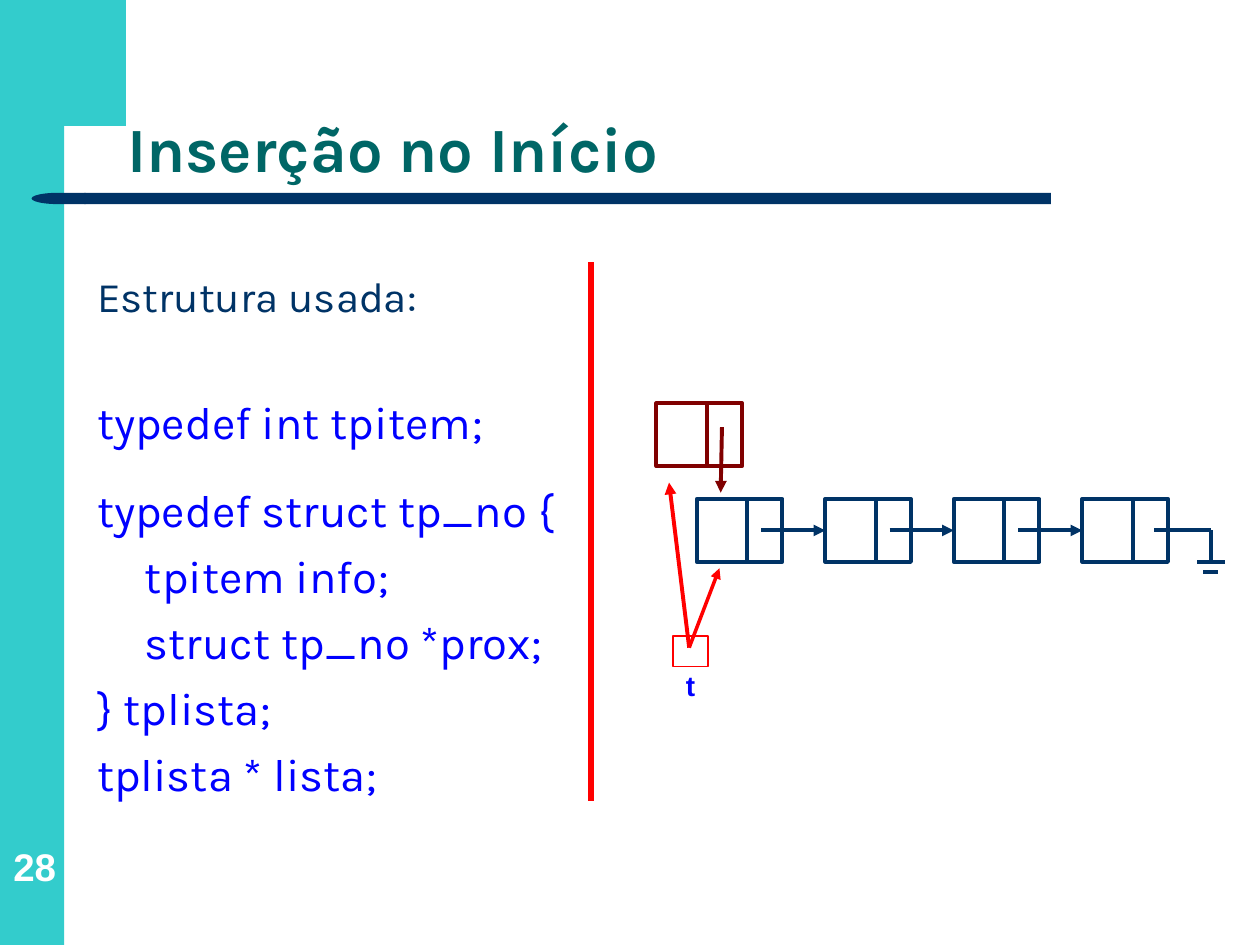
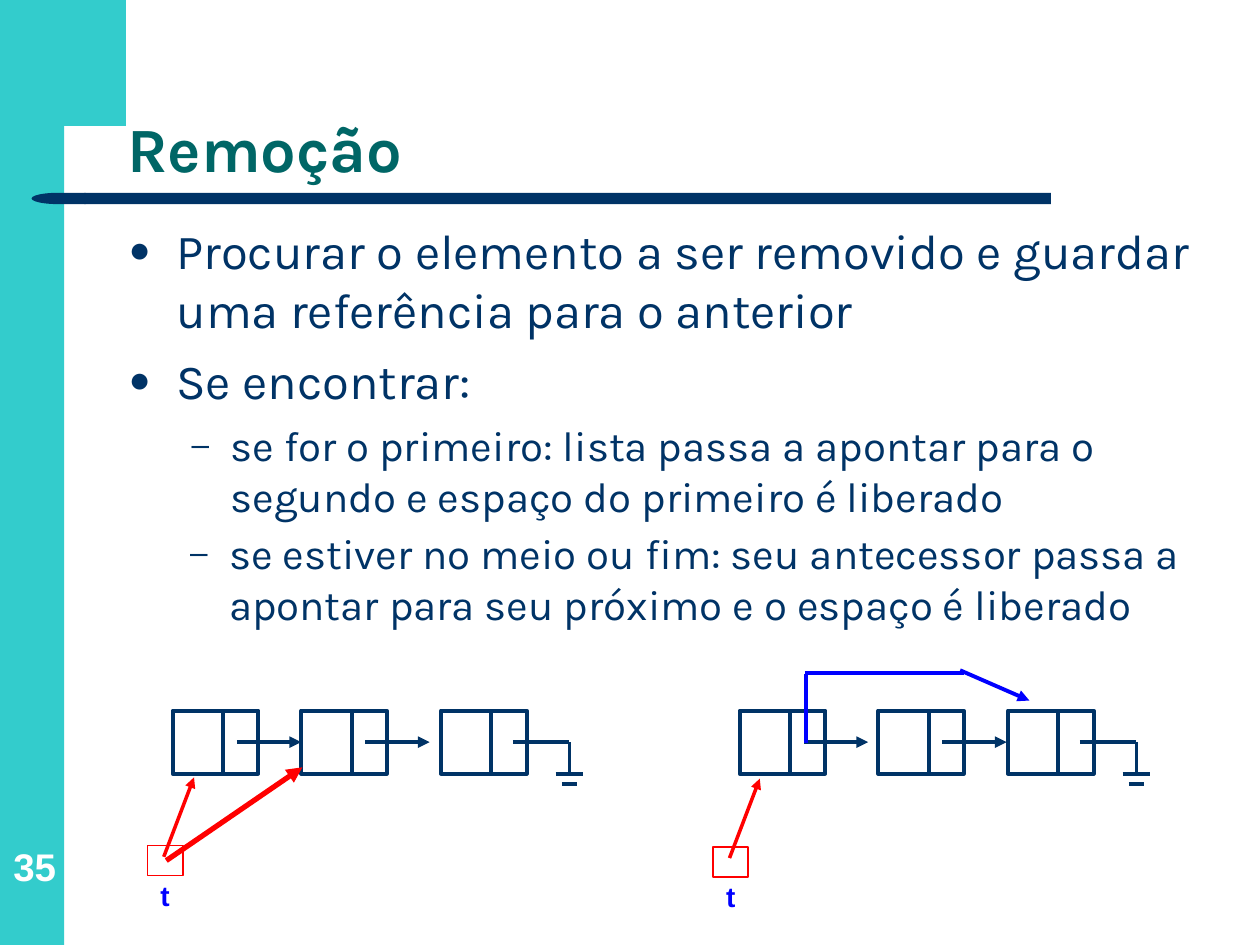
"""Build two slides on inserting into and removing from linked lists."""
from lxml import etree
from pptx import Presentation
from pptx import util as u
from pptx.dml.color import RGBColor
from pptx.enum import shapes, text
from pptx.oxml import ns

COLORS = {
    "band": "33CCCC", "navy": "003366", "title": "006666", "blue": "0000FF",
    "red": "FF0000", "maroon": "800000", "white": "FFFFFF",
}
KARLA, ARIAL = "Karla", "Arial"
BAND_OUTLINE = [
    (3.83, 0), (3.83, 0.44), (0.91, 0.45), (0.76, 0.45), (0.68, 0.46),
    (0.62, 0.49), (0.58, 0.52), (0.54, 0.55), (0.52, 0.58), (0.51, 0.62),
    (0.51, 0.68), (0.09, 0.68), (0.09, 0),
]
CELL_W, LINK_W, NODE_H = 0.4, 0.28, 0.5
NODE_PITCH = 1.02


def color(name):
    """Return the named palette colour."""
    return RGBColor.from_string(COLORS[name])


def box(at):
    """Convert left, top, width and height to lengths."""
    return [u.Inches(value) for value in at]


def paint(shape, fill):
    """Give a shape a plain fill without line or shadow."""
    shape.shadow.inherit = False
    shape.fill.solid()
    shape.fill.fore_color.rgb = color(fill)
    shape.line.fill.background()
    return shape


def outline_rect(slide, at, line, width=2.25):
    """Add an unfilled rectangle."""
    rect = slide.shapes.add_shape(shapes.MSO_SHAPE.RECTANGLE, *box(at))
    rect.shadow.inherit = False
    rect.fill.background()
    rect.line.color.rgb = color(line)
    rect.line.width = u.Pt(width)


def line(slide, start, end, stroke, width=2.25, arrow=False):
    """Add a straight line, optionally with an arrowhead at its end."""
    connector = slide.shapes.add_connector(
        shapes.MSO_CONNECTOR.STRAIGHT, *box(start + end))
    connector.line.color.rgb = color(stroke)
    connector.line.width = u.Pt(width)
    properties = connector.element.spPr
    if arrow:
        outline = properties.find(ns.qn("a:ln"))
        etree.SubElement(outline, ns.qn("a:tailEnd"), type="triangle")
    etree.SubElement(properties, ns.qn("a:effectLst"))


def add_run(paragraph, wording, size, ink, font=KARLA, bold=False):
    """Add one formatted run."""
    run = paragraph.add_run()
    run.text = wording
    run.font.size = u.Pt(size)
    run.font.name = font
    run.font.bold = bold
    run.font.color.rgb = color(ink)


def set_indent(paragraph, margin, hanging=0, bullet=None):
    """Set the indent and bullet of a paragraph."""
    properties = paragraph._p.get_or_add_pPr()
    properties.set("marL", str(u.Inches(margin)))
    properties.set("indent", str(-u.Inches(hanging)))
    if bullet is None:
        etree.SubElement(properties, ns.qn("a:buNone"))
        return
    tint = etree.SubElement(properties, ns.qn("a:buClr"))
    etree.SubElement(tint, ns.qn("a:srgbClr"), val=COLORS["navy"])
    etree.SubElement(properties, ns.qn("a:buSzPct"), val="75000")
    etree.SubElement(properties, ns.qn("a:buFont"), typeface=ARIAL)
    etree.SubElement(properties, ns.qn("a:buChar"), char=bullet)


def next_paragraph(frame):
    """Return the empty first paragraph or a new one."""
    first = frame.paragraphs[0]
    return frame.add_paragraph() if first.runs else first


def code_line(frame, wording, before=6.5, margin=0, size=26, ink="blue"):
    """Add an unbulleted line of the structure listing."""
    paragraph = next_paragraph(frame)
    paragraph.space_before = u.Pt(before)
    set_indent(paragraph, margin)
    add_run(paragraph, wording, size, ink)


def bullet_item(frame, wording, level=0):
    """Add a bulleted paragraph at the given level."""
    margin, hanging, mark, size, before = [
        (0.38, 0.38, "●", 28, 7), (0.81, 0.31, "–", 24, 6)][level]
    paragraph = next_paragraph(frame)
    paragraph.level = level
    paragraph.space_before = u.Pt(before)
    set_indent(paragraph, margin, hanging, mark)
    add_run(paragraph, wording, size, "navy")


def text_box(slide, at, wrap=True):
    """Add a text box and return its frame."""
    frame = slide.shapes.add_textbox(*box(at)).text_frame
    frame.word_wrap = wrap
    return frame


def decorate_layout(layout, slide):
    """Draw the band and title rule and move them to the layout."""
    for footer in list(layout.placeholders)[2:]:
        footer.element.getparent().remove(footer.element)
    kinds = shapes.MSO_SHAPE
    add = slide.shapes.add_shape
    outline = slide.shapes.build_freeform(*BAND_OUTLINE[0], scale=u.Inches(1))
    outline.add_line_segments(BAND_OUTLINE[1:], close=True)
    side_band = paint(add(kinds.RECTANGLE, *box((0, 0.02, 0.51, 7.48))), "band")
    corner = paint(outline.convert_to_shape(), "band")
    rule = paint(add(kinds.RECTANGLE, *box((0.67, 1.53, 7.67, 0.09))), "navy")
    rule_tip = paint(
        add(kinds.FLOWCHART_DELAY, *box((0.25, 1.53, 0.43, 0.09))), "navy")
    rule_tip.rotation = 180
    for part in (side_band, corner, rule, rule_tip):
        layout.shapes.element.append(part.element)


def fill_frame(slide, heading, number, body_at):
    """Set title and slide number, and return the placed body frame."""
    title = slide.shapes.title
    title.left, title.top, title.width, title.height = box(
        (0.91, 0.44, 8.51, 1.09))
    title.text_frame.vertical_anchor = text.MSO_ANCHOR.BOTTOM
    title.text_frame.auto_size = text.MSO_AUTO_SIZE.NONE
    paragraph = title.text_frame.paragraphs[0]
    paragraph.alignment = text.PP_ALIGN.LEFT
    paragraph.line_spacing = 0.9
    add_run(paragraph, heading, 36, "title", bold=True)

    page = text_box(slide, (0.03, 6.52, 0.49, 0.54))
    page.margin_left = page.margin_right = 0
    page.margin_top = page.margin_bottom = 0
    page.vertical_anchor = text.MSO_ANCHOR.BOTTOM
    page.paragraphs[0].alignment = text.PP_ALIGN.CENTER
    add_run(page.paragraphs[0], number, 22, "white", ARIAL, True)

    body = slide.placeholders[1]
    body.left, body.top, body.width, body.height = box(body_at)
    body.text_frame.auto_size = text.MSO_AUTO_SIZE.NONE
    return body.text_frame


def node(slide, x, y, ink="navy"):
    """Draw a list node with its value and link cells."""
    outline_rect(slide, (x, y, CELL_W, NODE_H), ink)
    outline_rect(slide, (x + CELL_W, y, LINK_W, NODE_H), ink)


def linked_list(slide, lefts, y):
    """Draw linked nodes, the last one ending in a ground symbol."""
    middle, bottom = y + NODE_H / 2, y + NODE_H
    for x in lefts:
        node(slide, x, y)
    for x in lefts[:-1]:
        line(slide, (x + 0.51, middle), (x + NODE_PITCH, middle), "navy",
             arrow=True)
    last = lefts[-1]
    ground = last + NODE_PITCH
    line(slide, (last + 0.57, middle), (ground, middle), "navy")
    line(slide, (ground, middle), (ground, bottom), "navy")
    for half, y_bar in ((0.11, bottom), (0.06, bottom + 0.08)):
        line(slide, (ground - half, y_bar), (ground + half, y_bar), "navy")


def list_pointer(slide, x, y):
    """Draw the variable t pointing to the first node."""
    outline_rect(slide, (x, y, 0.28, 0.24), "red", 1)
    line(slide, (x + 0.13, y + 0.09), (x + 0.37, y - 0.54), "red", 2, True)
    label = text_box(slide, (x, y + 0.21, 0.28, 0.37), wrap=False)
    label.paragraphs[0].alignment = text.PP_ALIGN.CENTER
    add_run(label.paragraphs[0], "t", 16, "blue", ARIAL, True)


def insertion_slide(slide):
    """Fill the slide on inserting at the start."""
    listing = fill_frame(slide, "Inserção no Início", "28",
                         (0.67, 2.1, 3.94, 4.65))
    code_line(listing, "Estrutura usada:", before=6, size=24, ink="navy")
    code_line(listing, "typedef int tpitem;", before=41.3)
    code_line(listing, "typedef struct tp_no {", before=19.5)
    for member in ("tpitem info;", "struct tp_no *prox;"):
        code_line(listing, member, margin=0.38)
    for wording in ("} tplista;", "tplista * lista;"):
        code_line(listing, wording)

    line(slide, (4.69, 2.08), (4.69, 6.36), "red", 3)
    linked_list(slide, [5.53 + NODE_PITCH * i for i in range(4)], 3.96)
    list_pointer(slide, 5.34, 5.05)
    node(slide, 5.21, 3.2, "maroon")
    line(slide, (5.47, 5.14), (5.31, 3.83), "red", arrow=True)
    line(slide, (5.73, 3.39), (5.72, 3.91), "maroon", arrow=True)


def removal_slide(slide):
    """Fill the slide on removing an element."""
    steps = fill_frame(slide, "Remoção", "35", (0.92, 1.7, 8.65, 2.52))
    bullet_item(steps, "Procurar o elemento a ser removido e guardar uma "
                       "referência para o anterior")
    bullet_item(steps, "Se encontrar:")
    bullet_item(steps, "se for o primeiro: lista passa a apontar para o "
                       "segundo e espaço do primeiro é liberado", 1)
    middle_case = text_box(slide, (0.91, 4.14, 8.65, 1.65))
    bullet_item(middle_case, "se estiver no meio ou fim: seu antecessor passa "
                             "a apontar para seu próximo e o espaço é liberado",
                1)

    linked_list(slide, [1.37, 2.39, 3.5], 5.64)
    line(slide, (1.32, 6.83), (2.4, 6.09), "red", 3, True)
    list_pointer(slide, 1.17, 6.71)

    linked_list(slide, [5.87, 6.97, 8], 5.64)
    list_pointer(slide, 5.66, 6.72)
    line(slide, (6.4, 5.9), (6.4, 5.35), "blue")
    line(slide, (6.39, 5.34), (7.65, 5.34), "blue")
    line(slide, (7.62, 5.32), (8.17, 5.56), "blue", arrow=True)


def main():
    """Build and save the presentation."""
    deck = Presentation()
    deck.slide_width, deck.slide_height = u.Inches(10), u.Inches(7.5)
    layout = deck.slide_layouts[1]
    insertion = deck.slides.add_slide(layout)
    decorate_layout(layout, insertion)
    insertion_slide(insertion)
    removal_slide(deck.slides.add_slide(layout))
    deck.save("out.pptx")


if __name__ == "__main__":
    main()
